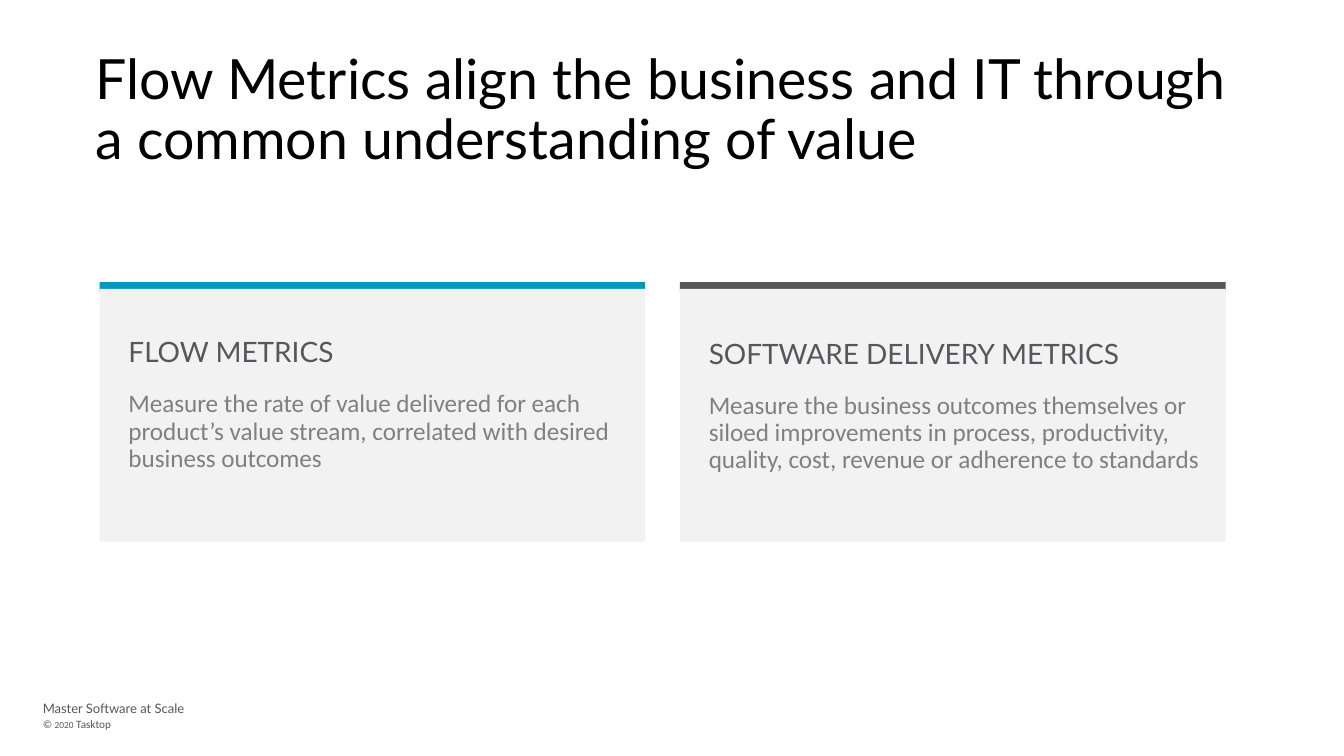
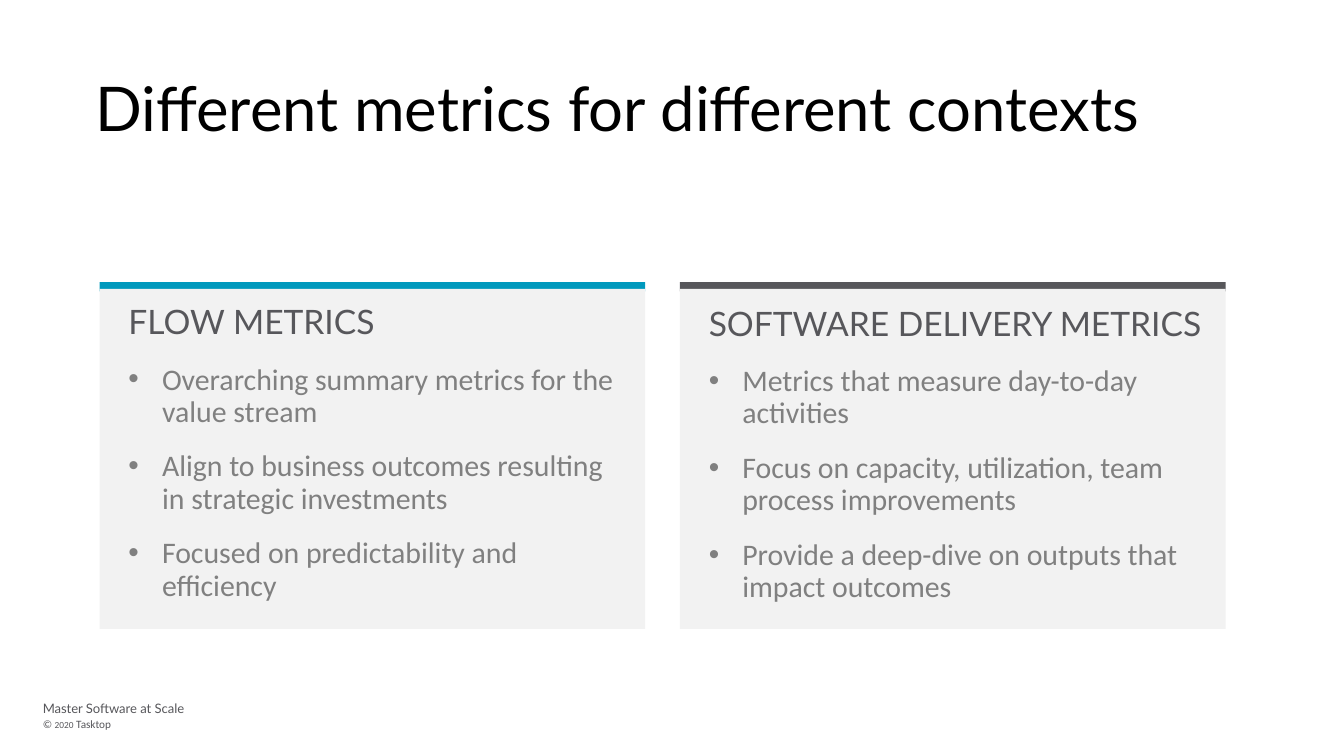
"""Build two slides that compare flow metrics with software delivery metrics."""
from dataclasses import dataclass

from lxml import etree
from pptx import Presentation
from pptx import util as u
from pptx.dml.color import RGBColor
from pptx.enum import shapes, text
from pptx.oxml.ns import qn

COLORS = {
    "title": "000000",
    "flow": "0099BD",
    "delivery": "57575B",
    "panel": "F2F2F2",
    "heading": "57575B",
    "body": "808080",
    "footer": "57575B",
}
HEADING_FONT, BODY_FONT = "Lato", "Calibri"
TWO_CONTENT = 3
CARD_LEFT, CARD_WIDTH, CARD_PITCH = 53.4, 292.3, 310.9
BAR_TOP, BAR_HEIGHT, PANEL_TOP = 151.2, 5, 154.8
TEXT_INDENT, TEXT_WIDTH = 10, 276.5
BULLET_INDENT = 18
FOOTER_LEFT = 17.5
TIGHT_INSETS = (5.4, 2.7, 5.4, 2.7)


@dataclass(frozen=True)
class Box:
    left: float
    top: float
    width: float
    height: float

    def lengths(self) -> tuple:
        return tuple(u.Pt(v) for v in (self.left, self.top, self.width, self.height))


@dataclass(frozen=True)
class Column:
    heading: str
    accent: str
    insets: tuple
    first: tuple
    second: tuple


@dataclass(frozen=True)
class Comparison:
    title: str
    title_size: float
    panel_height: float
    text_top: float
    text_height: float
    heading_size: float
    body_size: float
    bulleted: bool


COLUMNS = (
    Column(
        "FLOW METRICS", "flow", TIGHT_INSETS,
        ("Measure the rate of value delivered for each product’s value stream, "
         "correlated with desired business outcomes",),
        ("Overarching summary metrics for the value stream",
         "Align to business outcomes resulting in strategic investments",
         "Focused on predictability and efficiency"),
    ),
    Column(
        "SOFTWARE DELIVERY METRICS", "delivery", (5.4, 3.6, 4, 3.6),
        ("Measure the business outcomes themselves or siloed improvements in process, "
         "productivity, quality, cost, revenue or adherence to standards",),
        ("Metrics that measure day-to-day activities",
         "Focus on capacity, utilization, team process improvements",
         "Provide a deep-dive on outputs that impact outcomes"),
    ),
)
DEFINITIONS = Comparison(
    "Flow Metrics align the business and IT through a common understanding of value",
    29.7, 135.4, 178.6, 123.1, 15, 13.5, False)
CONTEXTS = Comparison(
    "Different metrics for different contexts",
    33, 182.2, 161, 175.7, 18, 16, True)


def style_run(run, font: str, size: float, color: str) -> None:
    run.font.name = font
    run.font.size = u.Pt(size)
    run.font.color.rgb = RGBColor.from_string(COLORS[color])


def prepare_frame(frame, insets: tuple, anchor) -> None:
    frame.word_wrap = True
    frame.auto_size = text.MSO_AUTO_SIZE.NONE
    frame.vertical_anchor = anchor
    (frame.margin_left, frame.margin_top,
     frame.margin_right, frame.margin_bottom) = (u.Pt(v) for v in insets)


def place(placeholder, box: Box) -> None:
    (placeholder.left, placeholder.top,
     placeholder.width, placeholder.height) = box.lengths()


def set_bullet(paragraph, bulleted: bool) -> None:
    indent = u.Pt(BULLET_INDENT if bulleted else 0)
    properties = paragraph._p.get_or_add_pPr()
    properties.set("marL", str(indent))
    properties.set("indent", str(-indent))
    if bulleted:
        etree.SubElement(properties, qn("a:buFont")).set("typeface", "Arial")
        etree.SubElement(properties, qn("a:buChar")).set("char", "•")
    else:
        etree.SubElement(properties, qn("a:buNone"))


def add_title(slide, title: str, size: float) -> None:
    placeholder = slide.shapes.title
    place(placeholder, Box(51.1, 37, 617, 45.4))
    frame = placeholder.text_frame
    prepare_frame(frame, (0, 2.7, 5.4, 2.7), text.MSO_ANCHOR.MIDDLE)
    frame.text = title
    paragraph = frame.paragraphs[0]
    paragraph.alignment = text.PP_ALIGN.LEFT
    paragraph.line_spacing = 0.9
    style_run(paragraph.runs[0], HEADING_FONT, size, "title")


def add_band(slide, box: Box, color: str) -> None:
    band = slide.shapes.add_shape(shapes.MSO_SHAPE.RECTANGLE, *box.lengths())
    band.shadow.inherit = False
    band.fill.solid()
    band.fill.fore_color.rgb = RGBColor.from_string(COLORS[color])
    band.line.fill.background()
    slide.shapes.element.insert(2, band.element)


def add_column(slide, position: int, column: Column, comparison: Comparison) -> None:
    left = CARD_LEFT + position * CARD_PITCH
    add_band(slide, Box(left, PANEL_TOP, CARD_WIDTH, comparison.panel_height), "panel")
    add_band(slide, Box(left, BAR_TOP, CARD_WIDTH, BAR_HEIGHT), column.accent)

    body = slide.placeholders[position + 1]
    place(body, Box(left + TEXT_INDENT, comparison.text_top,
                    TEXT_WIDTH, comparison.text_height))
    frame = body.text_frame
    prepare_frame(frame, column.insets, text.MSO_ANCHOR.TOP)
    points = column.second if comparison.bulleted else column.first
    frame.text = "\n".join((column.heading, *points))
    for row, paragraph in enumerate(frame.paragraphs):
        set_bullet(paragraph, comparison.bulleted and row > 0)
        paragraph.line_spacing = 0.9
        paragraph.space_before = u.Pt(7.5 if row else 0)
        paragraph.space_after = u.Pt(4.5)
        if row:
            style_run(paragraph.runs[0], BODY_FONT, comparison.body_size, "body")
        else:
            style_run(paragraph.runs[0], HEADING_FONT, comparison.heading_size, "heading")


def add_footer_line(slide, box: Box, font: str, pieces: tuple) -> None:
    frame = slide.shapes.add_textbox(*box.lengths()).text_frame
    prepare_frame(frame, TIGHT_INSETS, text.MSO_ANCHOR.TOP)
    for wording, size in pieces:
        run = frame.paragraphs[0].add_run()
        run.text = wording
        style_run(run, font, size, "footer")


def add_footer(slide) -> None:
    add_footer_line(slide, Box(FOOTER_LEFT, 372.5, 442.8, 13.7), HEADING_FONT,
                    (("Master Software at Scale", 7),))
    add_footer_line(slide, Box(FOOTER_LEFT, 381.6, 170, 13), BODY_FONT,
                    (("© ", 6), ("2020", 5), (" Tasktop", 6)))


def add_comparison(deck, comparison: Comparison) -> None:
    slide = deck.slides.add_slide(deck.slide_layouts[TWO_CONTENT])
    add_title(slide, comparison.title, comparison.title_size)
    for position, column in enumerate(COLUMNS):
        add_column(slide, position, column, comparison)
    add_footer(slide)


def main() -> None:
    deck = Presentation()
    deck.slide_width, deck.slide_height = u.Pt(720), u.Pt(405)
    for comparison in (DEFINITIONS, CONTEXTS):
        add_comparison(deck, comparison)
    deck.save("out.pptx")


if __name__ == "__main__":
    main()
